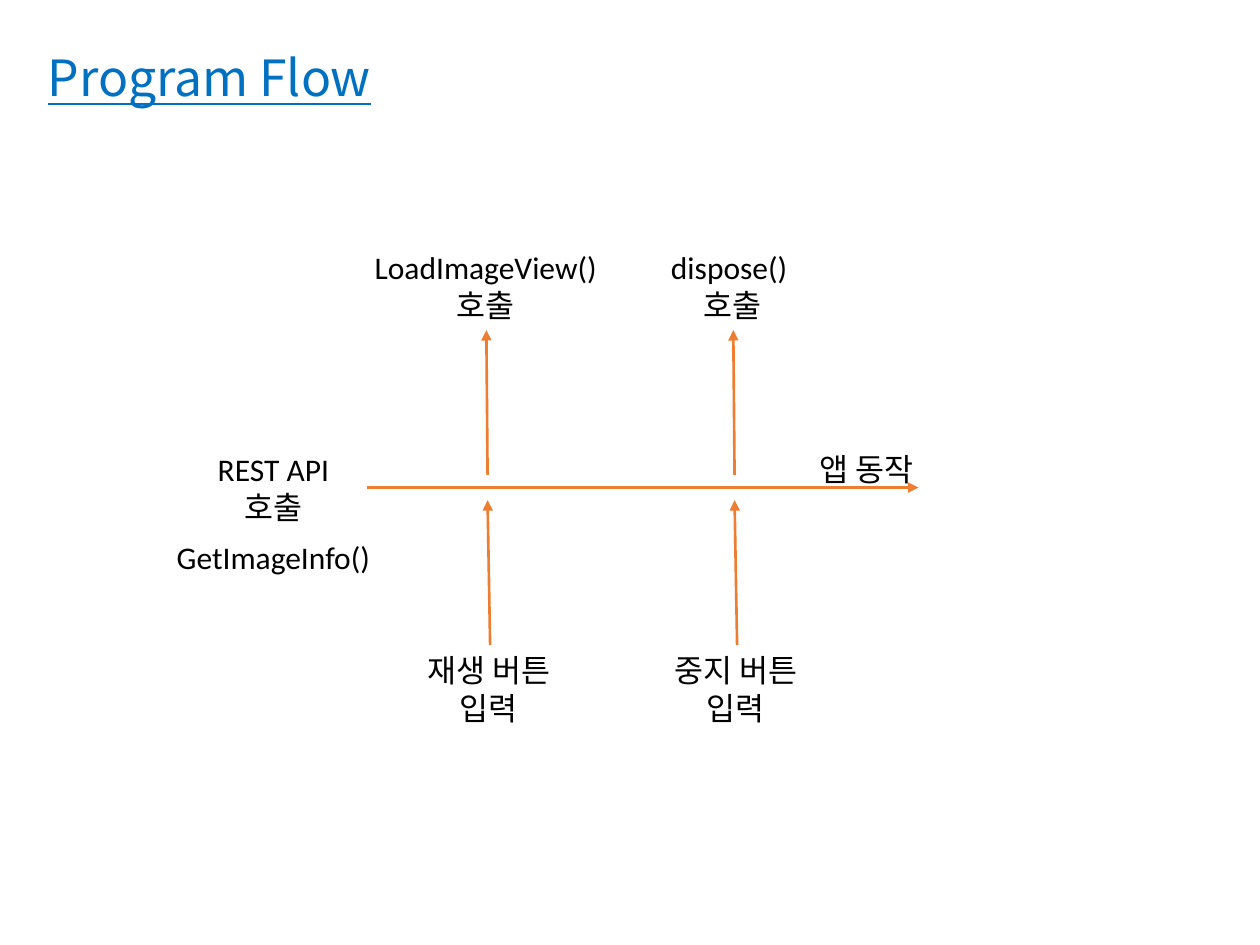
"""Build the Program Flow slide: a timeline with button inputs and the calls they trigger."""
from dataclasses import dataclass

from lxml import etree
from pptx import Presentation
from pptx.dml.color import RGBColor
from pptx.enum.shapes import MSO_CONNECTOR as Conn
from pptx.enum.text import MSO_ANCHOR as Anchor, MSO_AUTO_SIZE as Fit, PP_ALIGN as Align
from pptx.oxml.ns import qn
from pptx.util import Inches, Pt


@dataclass(frozen=True)
class Theme:
    """Colours, fonts and sizes of the slide."""
    title: RGBColor = RGBColor(0x00, 0x70, 0xC0)
    text: RGBColor = RGBColor(0x00, 0x00, 0x00)
    arrow: RGBColor = RGBColor(0xED, 0x7D, 0x31)
    latin: str = "Calibri"
    korean: str = "Noto Sans CJK KR"
    title_size: float = 28.5
    label_size: float = 18
    arrow_width: float = 1.5


THEME = Theme()
COLUMN_STEP = 1.96
STEPS = [
    (["LoadImageView() 호출"], ["재생 버튼 입력"]),
    (["dispose() ", "호출"], ["중지 버튼 입력"]),
]


def add_box(s, x, y, w, h):
    """Add a wrapping text box and return its text frame."""
    tf = s.shapes.add_textbox(Inches(x), Inches(y), Inches(w), Inches(h)).text_frame
    tf.word_wrap = True
    return tf


def add_run(p, text, font, size, color):
    """Add one styled run with a Korean fallback font."""
    r = p.add_run()
    r.text = text
    r.font.name, r.font.size = font, Pt(size)
    r.font.color.rgb = color
    etree.SubElement(r.font._element, qn("a:ea"), typeface=THEME.korean)
    return r


def add_title(s, text):
    """Add the underlined slide title."""
    tf = add_box(s, 0.31, 0.25, 9.07, 0.64)
    tf.vertical_anchor = Anchor.BOTTOM
    tf.margin_left = tf.margin_right = Inches(0.07)
    tf.margin_top = tf.margin_bottom = Inches(0.04)
    p = tf.paragraphs[0]
    p.line_spacing = 0.9
    add_run(p, text, THEME.korean, THEME.title_size, THEME.title).font.underline = True


def add_label(s, x, y, w, h, lines):
    """Add a centred label with one paragraph per line."""
    tf = add_box(s, x, y, w, h)
    tf.auto_size = Fit.SHAPE_TO_FIT_TEXT
    for i, line in enumerate(lines):
        p = tf.add_paragraph() if i else tf.paragraphs[0]
        p.alignment = Align.CENTER
        add_run(p, line, THEME.latin, THEME.label_size, THEME.text)


def add_arrow(s, x1, y1, x2, y2):
    """Add a straight arrow from the first point to the second."""
    c = s.shapes.add_connector(Conn.STRAIGHT, Inches(x1), Inches(y1), Inches(x2), Inches(y2))
    c.line.color.rgb = THEME.arrow
    c.line.width = Pt(THEME.arrow_width)
    etree.SubElement(c.line._get_or_add_ln(), qn("a:tailEnd"), type="triangle")
    etree.SubElement(c._element.spPr, qn("a:effectLst"))


def add_step(s, x, call, button):
    """Add a button input below the timeline and its call above."""
    add_label(s, x - 1, 1.92, 1.99, 0.71, call)
    add_arrow(s, x + 0.01, 3.77, x, 2.62)
    add_arrow(s, x + 0.03, 5.12, x + 0.01, 3.97)
    add_label(s, x - 0.73, 5.12, 1.5, 0.71, button)


def main():
    """Build and save the slide."""
    prs = Presentation()
    prs.slide_width, prs.slide_height = Inches(10), Inches(7.5)
    s = prs.slides.add_slide(prs.slide_layouts[6])
    add_title(s, "Program Flow")
    add_label(s, 1.42, 3.52, 1.5, 0.71, ["REST API 호출"])
    add_label(s, 1.1, 4.22, 2.14, 0.4, ["GetImageInfo()"])
    add_label(s, 6.13, 3.52, 1.5, 0.4, ["앱 동작"])
    add_arrow(s, 2.91, 3.87, 7.29, 3.87)
    for i, (call, button) in enumerate(STEPS):
        add_step(s, 3.86 + i * COLUMN_STEP, call, button)
    prs.save("out.pptx")


if __name__ == "__main__":
    main()
